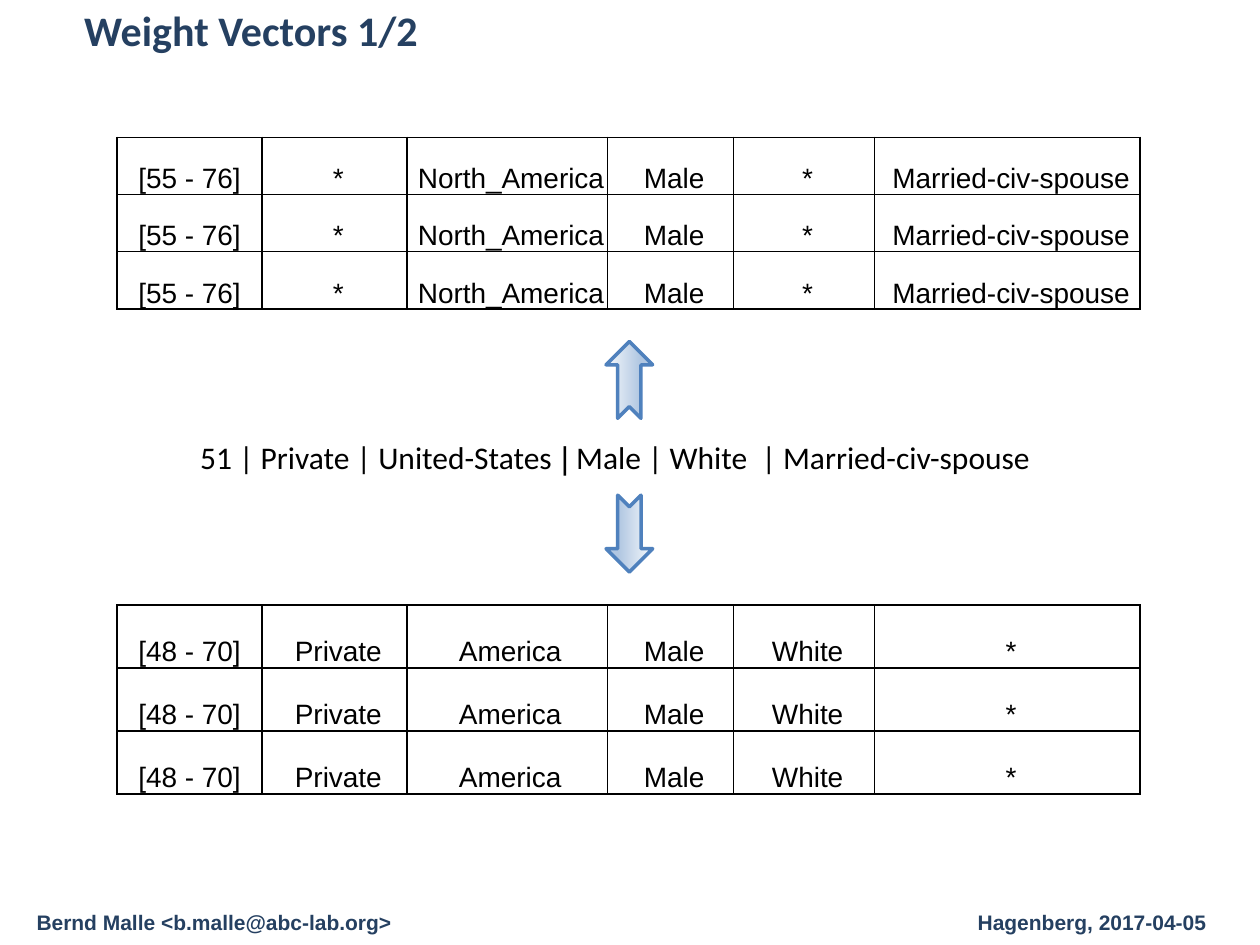
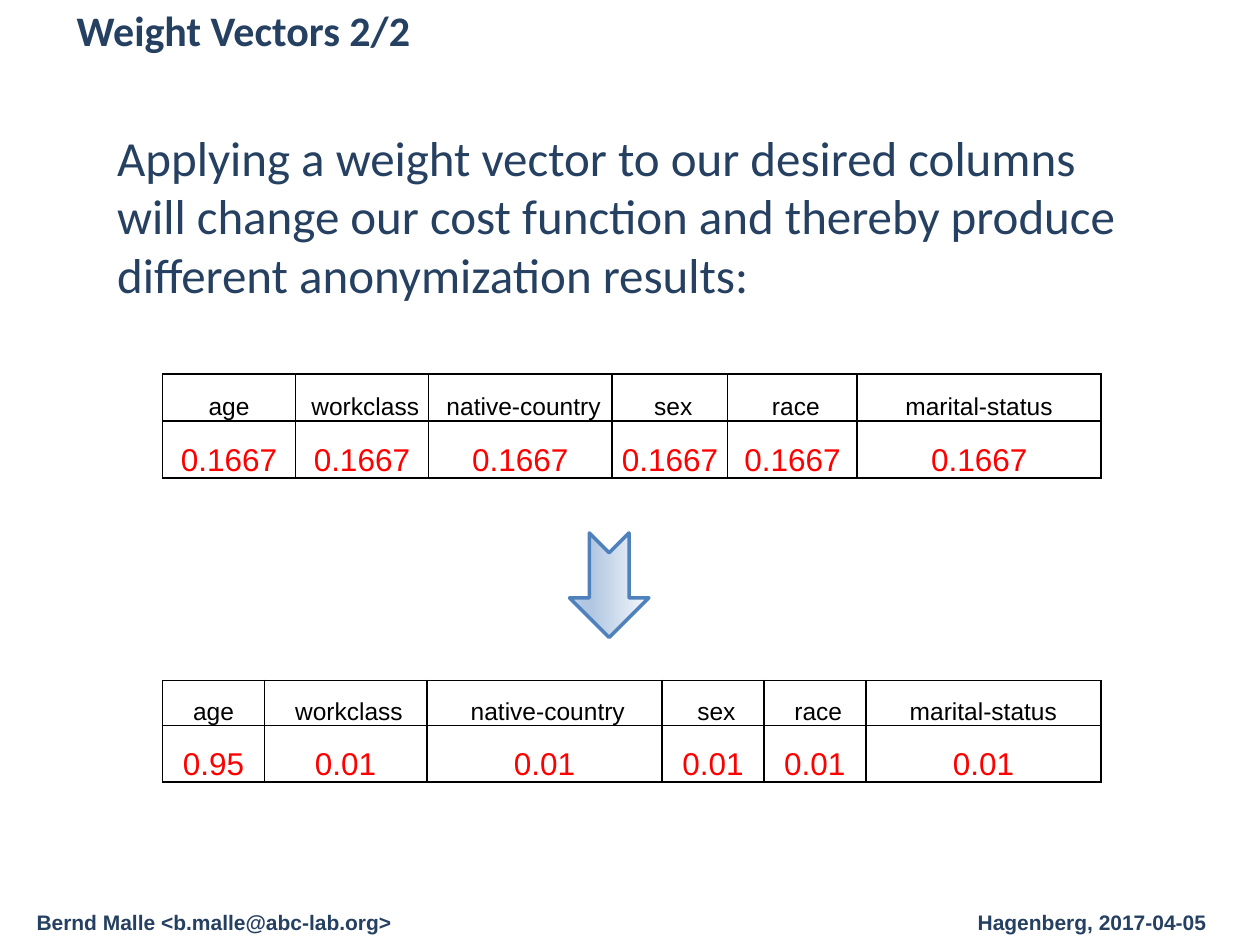
import pptx
import pptx.dml.color
import pptx.enum.shapes
import pptx.enum.text
import pptx.oxml
import pptx.oxml.ns
import pptx.util
from lxml import etree

# The slide is a grid of 100 columns by 75 rows; all positions are in grid units.
SLIDE_WIDTH = pptx.util.Inches(10)
SLIDE_HEIGHT = pptx.util.Inches(7.5)
COLUMNS, ROWS = 100, 75

NAVY, BLACK, RED, WHITE, BLUE = "254061", "000000", "FF0000", "FFFFFF", "4F81BD"
ARROW_STOPS = [(0, "F6F9FC"), (74, "B0C6E1"), (83, "B0C6E1"), (100, "CAD9EB")]
HEADING_FONT, PLAIN_FONT = "Calibri", "Arial"

RECORD_COLUMNS = [11.5, 11.5, 15.9, 10, 11.2, 21.1]
WEIGHTED_COLUMNS = [8.1, 12.9, 18.7, 8.1, 8.1, 18.7]
ATTRIBUTES = ["age", " workclass", " native-country", " sex", " race", " marital-status "]


def across(columns):
    return round(SLIDE_WIDTH * columns / COLUMNS)


def down(rows):
    return round(SLIDE_HEIGHT * rows / ROWS)


def place(left, top, width, height):
    return across(left), down(top), across(width), down(height)


def color(hex_text):
    return pptx.dml.color.RGBColor.from_string(hex_text)


def add_span(para, text, size, font, hex_text, bold=False):
    span = para.add_run()
    span.text = text
    span.font.size = pptx.util.Pt(size)
    span.font.name = font
    span.font.bold = bold
    span.font.color.rgb = color(hex_text)


def add_text(slide, area, spans, size, hex_text, bold=False, inset=None):
    """Add a one-paragraph box; spans are (text, font) pairs."""
    box = slide.shapes.add_textbox(*place(*area))
    frame = box.text_frame
    frame.word_wrap = True
    if inset is not None:
        frame.margin_left = frame.margin_right = across(inset)
        frame.margin_top = frame.margin_bottom = down(inset)
    for text, font in spans:
        add_span(frame.paragraphs[0], text, size, font, hex_text, bold)


def add_page(deck, title, title_left):
    """Add a blank page with its title and the shared footer."""
    page = deck.slides.add_slide(deck.slide_layouts[6])
    page.background.fill.solid()
    page.background.fill.fore_color.rgb = color(WHITE)
    for left, width, text in [
        (2.4, 31, "Bernd Malle <b.malle@abc-lab.org>"),
        (77.1, 21, "Hagenberg, 2017-04-05"),
    ]:
        add_text(page, (left, 71.7, width, 3), [(text, PLAIN_FONT)], 12, NAVY, True, 0.5)
    add_text(page, (title_left, -0.1, 80, 4.7), [(title, HEADING_FONT)], 24, NAVY, True)
    return page


def draw_borders(cell):
    properties = cell._tc.get_or_add_tcPr()
    for position, side in enumerate(("lnL", "lnR", "lnT", "lnB")):
        line = etree.Element(pptx.oxml.ns.qn(f"a:{side}"), w=str(pptx.util.Pt(1)))
        fill = etree.SubElement(line, pptx.oxml.ns.qn("a:solidFill"))
        etree.SubElement(fill, pptx.oxml.ns.qn("a:srgbClr"), val=BLACK)
        properties.insert(position, line)


def fill_cell(cell, text, size, hex_text):
    cell.fill.background()
    cell.margin_left = cell.margin_right = across(0.1)
    cell.margin_top, cell.margin_bottom = down(0.1), 0
    cell.vertical_anchor = pptx.enum.text.MSO_ANCHOR.BOTTOM
    para = cell.text_frame.paragraphs[0]
    para.alignment = pptx.enum.text.PP_ALIGN.CENTER
    add_span(para, text, size, PLAIN_FONT, hex_text)
    draw_borders(cell)


def add_grid(slide, left, top, width, column_shares, rows):
    """Add a table; rows are (height, text size, colour, texts)."""
    height = sum(row[0] for row in rows)
    area = place(left, top, width, height)
    table = slide.shapes.add_table(len(rows), len(column_shares), *area).table
    table.first_row = table.horz_banding = False
    for column, share in zip(table.columns, column_shares):
        column.width = across(width * share / sum(column_shares))
    for row, (row_height, size, hex_text, texts) in zip(table.rows, rows):
        row.height = down(row_height)
        for cell, text in zip(row.cells, texts):
            fill_cell(cell, text, size, hex_text)


def add_records(slide, top, row_height, texts):
    add_grid(slide, 9.3, top, 81.2, RECORD_COLUMNS, [(row_height, 16, BLACK, texts)] * 3)


def add_weights(slide, top, column_shares, heights, weights):
    header_height, weight_height = heights
    add_grid(slide, 12.9, top, 74.5, column_shares, [
        (header_height, 14, BLACK, ATTRIBUTES),
        (weight_height, 18, RED, weights),
    ])


def add_arrow(slide, area, rotation):
    kind = pptx.enum.shapes.MSO_SHAPE.NOTCHED_RIGHT_ARROW
    arrow = slide.shapes.add_shape(kind, *place(*area))
    arrow.rotation = rotation
    arrow.shadow.inherit = False
    arrow.line.color.rgb = color(BLUE)
    arrow.line.width = pptx.util.Pt(2)
    arrow.fill.gradient()
    arrow.fill.gradient_angle = 270
    stops = arrow._element.spPr.find(".//" + pptx.oxml.ns.qn("a:gsLst"))
    for stop in list(stops):
        stops.remove(stop)
    for percent, hex_text in ARROW_STOPS:
        stop = etree.SubElement(stops, pptx.oxml.ns.qn("a:gs"), pos=str(percent * 1000))
        etree.SubElement(stop, pptx.oxml.ns.qn("a:srgbClr"), val=hex_text)


def build_record_page(deck):
    page = add_page(deck, "Weight Vectors 1/2", 5.7)
    add_records(page, 10.9, 4.54,
                ["[55 - 76]", " *", " North_America", " Male", " *", " Married-civ-spouse"])
    add_records(page, 48, 5,
                ["[48 - 70]", " Private", " America", " Male", " White", " *"])
    add_text(page, (14.9, 34.3, 70, 4), [
        ("51 | Private | United-States", HEADING_FONT),
        (" |", PLAIN_FONT),
        (" Male | White  | Married-civ-spouse", HEADING_FONT),
    ], 18, BLACK)
    for top, rotation in [(28.3, 270), (40.5, 90)]:
        add_arrow(page, (46.9, top, 6.1, 3.7), rotation)


def build_weight_page(deck):
    page = add_page(deck, "Weight Vectors 2/2", 5.1)
    statement = ("Applying a weight vector to our desired columns will change our cost "
                 "function and thereby produce different anonymization results:")
    add_text(page, (8.8, 9.6, 82.7, 15.1), [(statement, HEADING_FONT)], 28, NAVY, inset=0.5)
    add_weights(page, 29.7, RECORD_COLUMNS, (3.7, 4.55), ["0.1667"] * 6)
    add_arrow(page, (44.2, 43.3, 8.3, 6.3), 90)
    add_weights(page, 54, WEIGHTED_COLUMNS, (3.6, 4.45), ["0.95"] + ["0.01"] * 5)


def main():
    deck = pptx.Presentation()
    deck.slide_width, deck.slide_height = SLIDE_WIDTH, SLIDE_HEIGHT
    build_record_page(deck)
    build_weight_page(deck)
    deck.save("out.pptx")


if __name__ == "__main__":
    main()
